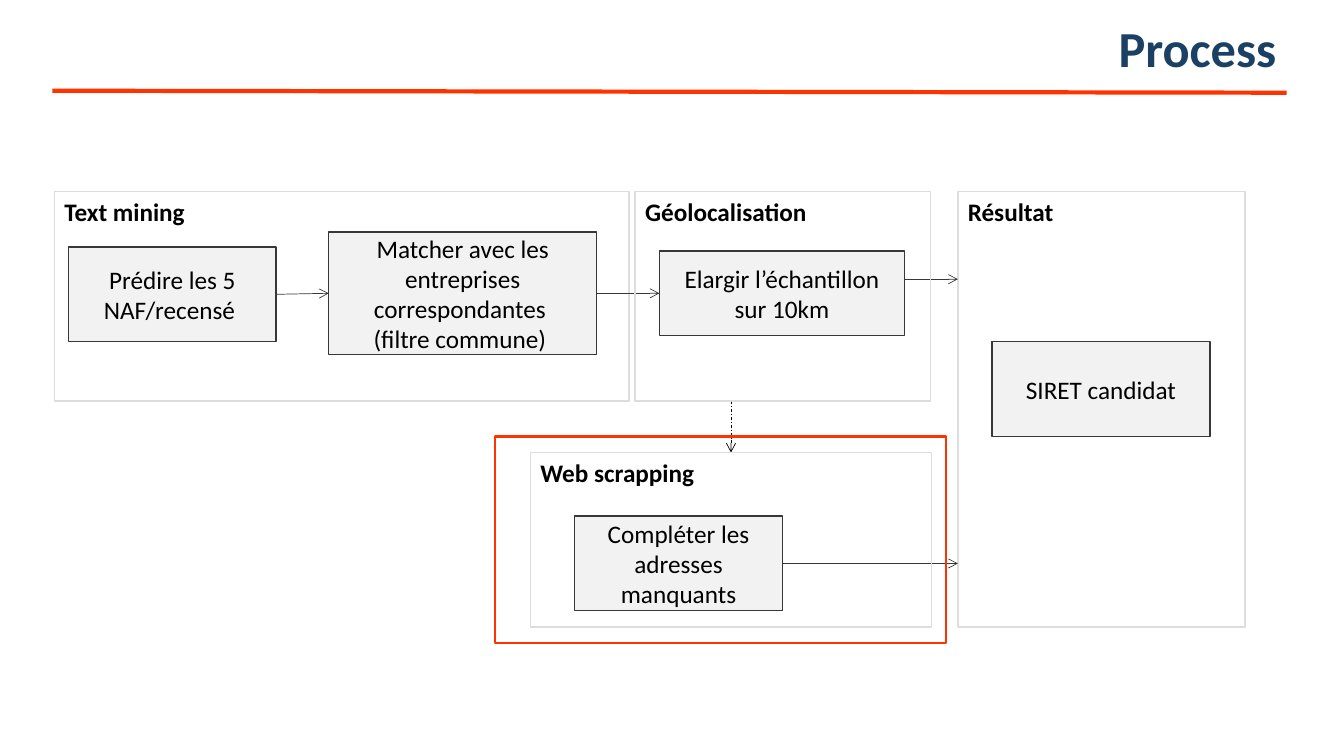
"""Build the "Process" slide: a flow from text mining to the candidate SIRET."""
from pptx import Presentation
from pptx.dml.color import RGBColor
from pptx.enum.dml import MSO_LINE_DASH_STYLE as Dash
from pptx.enum.shapes import MSO_CONNECTOR as Connector, MSO_SHAPE as Shape
from pptx.enum.text import MSO_ANCHOR as Anchor, MSO_AUTO_SIZE as AutoSize, PP_ALIGN as Align
from pptx.oxml.ns import qn
from pptx.oxml.xmlchemy import OxmlElement
from pptx.util import Inches, Pt

CELL = Inches(0.1)
FONT = "Calibri"
BLACK, WHITE, NAVY, ORANGE = "000000", "FFFFFF", "1A4164", "FF3300"
STEP_FILL, STEP_LINE, PANEL_LINE = "F2F2F2", "373737", "DDDDDD"


def paint(target, colour):
    """Give a fill, a line or a font its colour; None leaves it empty."""
    if hasattr(target, "background"):
        target.solid() if colour else target.background()
        target = target.fore_color
    else:
        target = target.color
    if colour:
        target.rgb = RGBColor.from_string(colour)


def add_box(place, lines, fill, outline, width=1, heading=False):
    """Add a rectangle, placed in grid cells, holding a heading or a centred step."""
    box = slide.shapes.add_shape(Shape.RECTANGLE, *(round(n * CELL) for n in place))
    box.shadow.inherit = False
    if fill:
        paint(box.fill, fill)
    else:
        box.fill.background()
    paint(box.line, outline)
    box.line.width = Pt(width)
    frame = box.text_frame
    frame.word_wrap = True
    frame.vertical_anchor = Anchor.TOP if heading else Anchor.MIDDLE
    for index, line in enumerate(lines):
        paragraph = frame.add_paragraph() if index else frame.paragraphs[0]
        paragraph.alignment = Align.LEFT if heading else Align.CENTER
        run = paragraph.add_run()
        run.text = line
        run.font.name, run.font.size, run.font.bold = FONT, Pt(18), heading
        paint(run.font, BLACK)


deck = Presentation()
deck.slide_width, deck.slide_height = Inches(13.33), Inches(7.5)
slide = deck.slides.add_slide(deck.slide_layouts[5])

title = slide.shapes.title
title.left, title.top, title.width, title.height = (round(n * CELL) for n in (5.2, 0.9, 122.4, 8.3))
title_frame = title.text_frame
title_frame.auto_size = AutoSize.NONE
title_frame.vertical_anchor = Anchor.MIDDLE
title_line = title_frame.paragraphs[0]
title_line.alignment, title_line.line_spacing = Align.RIGHT, 0.9
title_run = title_line.add_run()
title_run.text = "Process"
title_run.font.name, title_run.font.size, title_run.font.bold = FONT, Pt(36), True
paint(title_run.font, NAVY)

filled_panels = [
    ((95, 19, 28.5, 43.2), "Résultat"),
    ((5.4, 19, 57, 20.8), "Text mining"),
]
open_panels = [
    ((63, 19, 29.3, 20.8), "Géolocalisation"),
    ((52.6, 44.9, 39.8, 17.3), "Web scrapping"),
]
steps = [
    ((6.8, 24.5, 20.6, 9.4), ["Prédire les 5 NAF/recensé "]),
    ((57, 51.2, 20.6, 9.4), ["Compléter les adresses manquants"]),
    ((32.6, 23, 26.6, 12.2), ["Matcher avec les entreprises correspondantes ", "(filtre commune) "]),
    ((98.4, 33.9, 21.6, 9.4), ["SIRET candidat"]),
    ((65.4, 24.9, 24.3, 8.4), ["Elargir l’échantillon sur 10km"]),
]
links = [
    ((5.2, 9, 127.6, 9.2), ORANGE, 3, None, False),
    ((27.4, 29.2, 32.6, 29.1), STEP_LINE, 0.5, None, True),
    ((89.7, 27.7, 95, 27.7), STEP_LINE, 0.5, None, True),
    ((59.2, 29.1, 65.4, 29.1), STEP_LINE, 0.5, None, True),
    ((77.6, 55.9, 95, 55.9), STEP_LINE, 0.5, None, True),
    ((72.5, 39.8, 72.5, 44.9), BLACK, 0.5, Dash.DASH_DOT, True),
]

for place, heading in filled_panels:
    add_box(place, [heading], WHITE, PANEL_LINE, heading=True)

for place, lines in steps:
    add_box(place, lines, STEP_FILL, STEP_LINE)

for ends, colour, width, dash, has_arrow in links:
    link = slide.shapes.add_connector(Connector.STRAIGHT, *(round(n * CELL) for n in ends))
    paint(link.line, colour)
    link.line.width = Pt(width)
    if dash:
        link.line.dash_style = dash
    properties = link._element.spPr
    if has_arrow:
        arrowhead = OxmlElement("a:tailEnd")
        arrowhead.set("type", "arrow")
        properties.find(qn("a:ln")).append(arrowhead)
    properties.append(OxmlElement("a:effectLst"))

for place, heading in open_panels:
    add_box(place, [heading], None, PANEL_LINE, heading=True)

add_box((49.1, 43.3, 44.7, 20.5), [], None, ORANGE, width=1.5)

deck.save("out.pptx")
